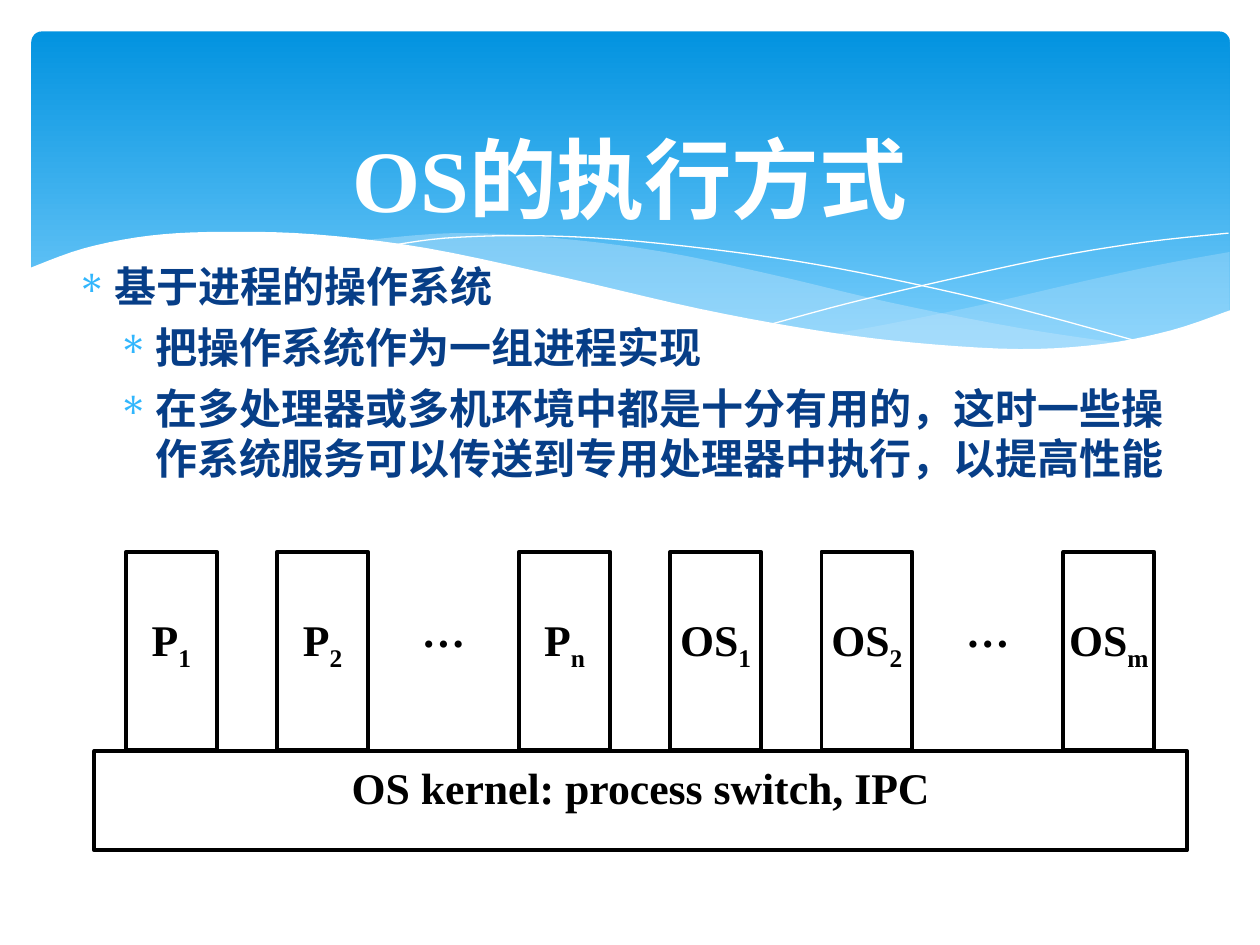
import dataclasses

import lxml.etree
import pptx
import pptx.dml.color
import pptx.enum.shapes
import pptx.enum.text
import pptx.oxml.ns
import pptx.util

Inches = pptx.util.Inches
Align = pptx.enum.text.PP_ALIGN
Anchor = pptx.enum.text.MSO_ANCHOR
Shape = pptx.enum.shapes.MSO_SHAPE


@dataclasses.dataclass(frozen=True)
class Theme:
    """Colours, fonts and type sizes of the slide."""
    white: str = "FFFFFF"
    black: str = "000000"
    sky_top: str = "0293E0"
    sky_bottom: str = "83D3FE"
    ribbon: str = "C6E7FC"
    body: str = "073E87"
    bullet: str = "31B6FD"
    serif: str = "Times New Roman"
    sans: str = "Calibri"
    title_size: int = 50
    body_size: int = 24
    diagram_size: int = 25
    outline: float = 2.25


THEME = Theme()

RIGHT_RIBBON = (
    [(9.76, 2), (9.21, 2.1), (8.61, 2.23), (7.79, 2.42), (7.06, 2.57), (6.61, 2.65)],
    [(6.61, 2.65), (7.18, 2.73), (7.81, 2.77), (8.35, 2.77), (8.89, 2.72),
     (9.35, 2.62), (9.76, 2.47)],
)
LEFT_RIBBON = (
    [(8.93, 2.73), (8.07, 2.6), (7.06, 2.4), (6.13, 2.18), (5.27, 2), (4.41, 1.89),
     (3.61, 1.85), (2.86, 1.91)],
    [(2.86, 1.91), (3.62, 2.03), (4.49, 2.22), (5.3, 2.4), (6.18, 2.58), (6.95, 2.7),
     (7.61, 2.77), (8.28, 2.78), (8.93, 2.73)],
)
FALLING_LINE = [(3.09, 1.95), (3.53, 1.89), (4.16, 1.87), (4.89, 1.9), (5.82, 2),
                (6.65, 2.13), (7.6, 2.33), (8.31, 2.51), (9.07, 2.72)]
RISING_LINE = [(6.13, 2.57), (6.72, 2.41), (7.48, 2.23), (8.36, 2.04), (9.1, 1.92),
               (9.75, 1.85)]
WAVE = [(0.23, 2.13), (0.67, 1.97), (1.19, 1.87), (1.76, 1.84), (2.5, 1.86), (3.39, 1.97),
        (4.47, 2.2), (5.55, 2.45), (6.47, 2.62), (7.26, 2.72), (8.09, 2.77), (8.75, 2.73),
        (9.3, 2.62), (9.77, 2.46)]
WAVE_BASE = [(9.77, 3.29), (0.23, 3.29)]

BULLETS = [
    (0, "基于进程的操作系统"),
    (1, "把操作系统作为一组进程实现"),
    (1, "在多处理器或多机环境中都是十分有用的，这时一些操作系统服务可以传送到专用处理器中执行，以提高性能"),
]
PROCESSES = [("P", "1"), ("P", "2"), ("…", ""), ("P", "n"),
             ("OS", "1"), ("OS", "2"), ("…", ""), ("OS", "m")]


def color(value):
    """Turn a hex string into a colour."""
    return pptx.dml.color.RGBColor.from_string(value)


def smooth_curve(points, steps=5):
    """Return a Catmull-Rom curve through the points."""
    padded = [points[0], *points, points[-1]]
    curve = [points[0]]
    for a, b, c, d in zip(padded, padded[1:], padded[2:], padded[3:]):
        for step in range(1, steps + 1):
            t = step / steps
            curve.append(tuple(
                (2 * q + (r - p) * t + (2 * p - 5 * q + 4 * r - s) * t ** 2
                 + (3 * q - p - 3 * r + s) * t ** 3) / 2
                for p, q, r, s in zip(a, b, c, d)))
    return curve


def add_outline(slide, points, fill=None, opacity=100, line=None):
    """Draw a filled outline, or an open hairline when there is no fill."""
    start, *rest = [(Inches(x), Inches(y)) for x, y in points]
    builder = slide.shapes.build_freeform(*start)
    builder.add_line_segments(rest, close=fill is not None)
    shape = builder.convert_to_shape()
    shape.shadow.inherit = False
    if fill:
        shape.fill.solid()
        shape.fill.fore_color.rgb = color(fill)
        tint = shape.fill._xPr.find(".//" + pptx.oxml.ns.qn("a:srgbClr"))
        alpha = lxml.etree.SubElement(tint, pptx.oxml.ns.qn("a:alpha"))
        alpha.set("val", str(opacity * 1000))
    else:
        shape.fill.background()
    if line:
        shape.line.color.rgb = color(line)
        shape.line.width = 0
    else:
        shape.line.fill.background()


def add_sky(slide):
    """Draw the gradient panel behind the title."""
    sky = slide.shapes.add_shape(Shape.ROUNDED_RECTANGLE, Inches(0.25), Inches(0.25),
                                 Inches(9.51), Inches(2.7))
    sky.adjustments[0] = 0.03
    sky.shadow.inherit = False
    sky.line.fill.background()
    sky.fill.gradient()
    sky.fill.gradient_angle = 270
    for stop, value in zip(sky.fill.gradient_stops, (THEME.sky_top, THEME.sky_bottom)):
        stop.color.rgb = color(value)


def add_frame(slide, left, top, width, height, outlined=False):
    """Add a text box, or an unfilled outlined rectangle."""
    place = [Inches(value) for value in (left, top, width, height)]
    if not outlined:
        return slide.shapes.add_textbox(*place)
    shape = slide.shapes.add_shape(Shape.RECTANGLE, *place)
    shape.shadow.inherit = False
    shape.fill.background()
    shape.line.color.rgb = color(THEME.black)
    shape.line.width = pptx.util.Pt(THEME.outline)
    return shape


def add_text(paragraph, text, *, size, font, fill, align=Align.LEFT, subscript=False):
    """Add a bold run to a paragraph."""
    paragraph.alignment = align
    run = paragraph.add_run()
    run.text = text
    run.font.size = pptx.util.Pt(size)
    run.font.name = font
    run.font.bold = True
    run.font.color.rgb = color(fill)
    if subscript:
        run._r.get_or_add_rPr().set("baseline", "-25000")


def set_frame(shape, anchor=Anchor.TOP, side=0.1, top=0.05, bottom=0.05):
    """Set wrapping, anchor and insets, and return the text frame."""
    frame = shape.text_frame
    frame.word_wrap = True
    frame.vertical_anchor = anchor
    frame.margin_left = frame.margin_right = Inches(side)
    frame.margin_top, frame.margin_bottom = Inches(top), Inches(bottom)
    return frame


def set_bullet(paragraph, level):
    """Give a paragraph its coloured bullet and hanging indent."""
    properties = paragraph._p.get_or_add_pPr()
    properties.set("marL", str(Inches(0.3 + 0.33 * level)))
    properties.set("indent", str(Inches(-0.3)))
    tint = lxml.etree.SubElement(properties, pptx.oxml.ns.qn("a:buClr"))
    lxml.etree.SubElement(tint, pptx.oxml.ns.qn("a:srgbClr")).set("val", THEME.bullet)
    lxml.etree.SubElement(properties, pptx.oxml.ns.qn("a:buChar")).set("char", "∗")
    paragraph.level = level


def add_bullets(slide):
    """Write the bulleted body text."""
    frame = set_frame(add_frame(slide, 0.51, 2.02, 9.06, 4.68))
    for index, (level, text) in enumerate(BULLETS):
        paragraph = frame.add_paragraph() if index else frame.paragraphs[0]
        set_bullet(paragraph, level)
        if index:
            paragraph.space_before = pptx.util.Pt(6)
        add_text(paragraph, text, size=THEME.body_size, font=THEME.sans, fill=THEME.body)


def add_processes(slide):
    """Draw the kernel bar and the processes standing on it."""
    style = dict(size=THEME.diagram_size, font=THEME.serif, fill=THEME.black,
                 align=Align.CENTER)
    kernel = set_frame(add_frame(slide, 0.75, 5.96, 8.67, 0.79, outlined=True),
                       top=0.08, bottom=0)
    add_text(kernel.paragraphs[0], "OS kernel: process switch, IPC", **style)
    width, gap, left = 0.72, 0.24, 1.0
    for index, (name, number) in enumerate(PROCESSES):
        if index:
            beside_ellipsis = not (number and PROCESSES[index - 1][1])
            left += width + gap * (1 if beside_ellipsis else 2)
        shape = add_frame(slide, left, 4.38, width, 1.57, outlined=bool(number))
        paragraph = set_frame(shape, side=0, top=0.48, bottom=0.08).paragraphs[0]
        add_text(paragraph, name, **style)
        if number:
            add_text(paragraph, number, subscript=True, **style)


def main():
    """Build the slide and save it."""
    presentation = pptx.Presentation()
    presentation.slide_width, presentation.slide_height = Inches(10), Inches(7.5)
    slide = presentation.slides.add_slide(presentation.slide_layouts[6])
    add_sky(slide)
    for (upper, lower), opacity in ((RIGHT_RIBBON, 29), (LEFT_RIBBON, 40)):
        add_outline(slide, smooth_curve(upper) + smooth_curve(lower),
                    fill=THEME.ribbon, opacity=opacity)
    for points in (FALLING_LINE, RISING_LINE):
        add_outline(slide, smooth_curve(points), line=THEME.white)
    add_outline(slide, smooth_curve(WAVE) + WAVE_BASE, fill=THEME.white)
    title = set_frame(add_frame(slide, 0.5, 1.07, 9, 0.67), anchor=Anchor.MIDDLE)
    add_text(title.paragraphs[0], "OS的执行方式", size=THEME.title_size, font=THEME.serif,
             fill=THEME.white, align=Align.CENTER)
    add_bullets(slide)
    add_processes(slide)
    presentation.save("out.pptx")


if __name__ == "__main__":
    main()
